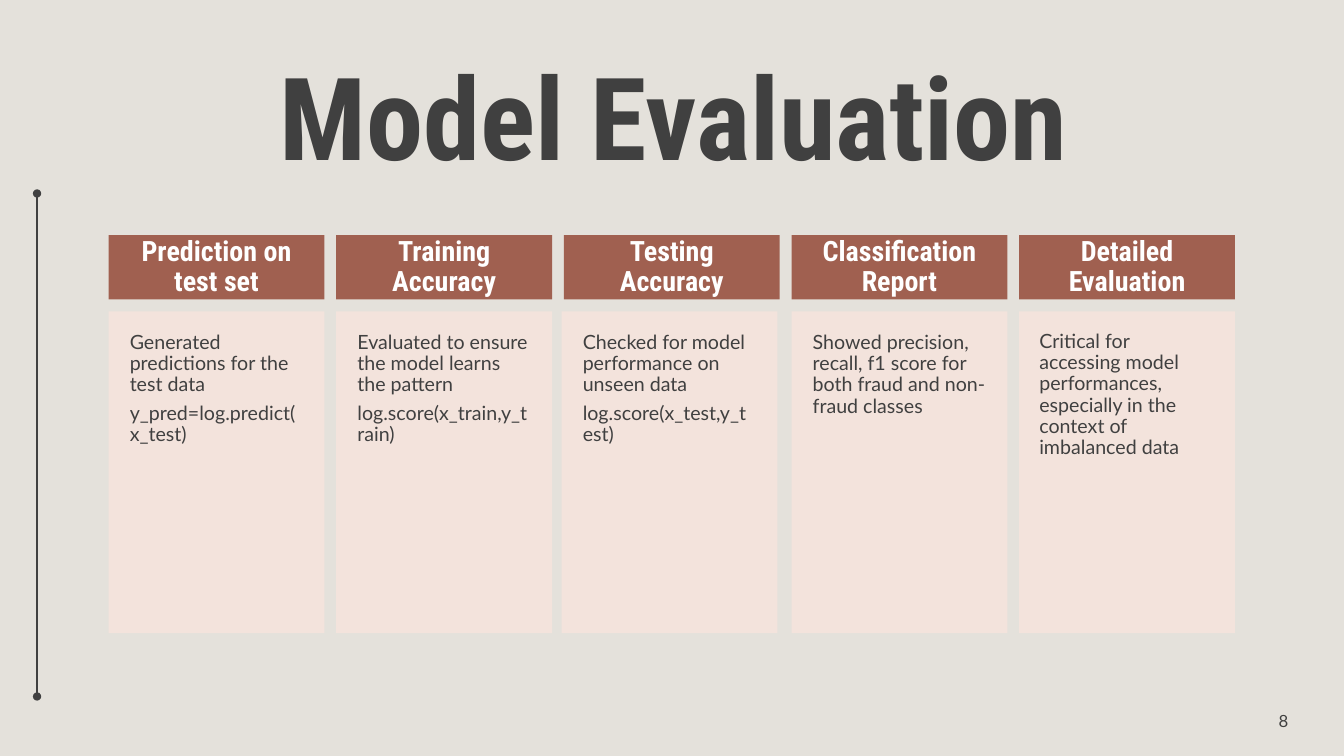
from dataclasses import dataclass

from lxml import etree
from pptx import Presentation
from pptx.dml.color import RGBColor
from pptx.enum.shapes import MSO_CONNECTOR, MSO_SHAPE
from pptx.enum.text import MSO_ANCHOR, MSO_AUTO_SIZE, PP_ALIGN
from pptx.oxml.ns import qn
from pptx.shapes.autoshape import Shape
from pptx.slide import Slide
from pptx.text.text import TextFrame
from pptx.util import Pt

RECTANGLE = MSO_SHAPE.RECTANGLE
STRAIGHT = MSO_CONNECTOR.STRAIGHT
TOP, MIDDLE = MSO_ANCHOR.TOP, MSO_ANCHOR.MIDDLE
LEFT, CENTER, RIGHT = PP_ALIGN.LEFT, PP_ALIGN.CENTER, PP_ALIGN.RIGHT
NO_AUTOFIT = MSO_AUTO_SIZE.NONE

BACKDROP = RGBColor(0xE4, 0xE1, 0xDB)
CHARCOAL = RGBColor(0x40, 0x40, 0x40)
RUST = RGBColor(0xA0, 0x60, 0x50)
BLUSH = RGBColor(0xF3, 0xE3, 0xDC)
WHITE = RGBColor(0xFF, 0xFF, 0xFF)

HEADING_FONT = "Roboto Condensed"
BODY_FONT = "Lato"

FIRST_LEFT, COLUMN_PITCH, COLUMN_WIDTH = 77.6, 162.6, 154.2
HEADING_TOP, HEADING_HEIGHT = 167.9, 46
DETAIL_TOP, DETAIL_HEIGHT = 222.5, 229.7


@dataclass(frozen=True)
class TextStyle:
    font: str
    size: float
    color: RGBColor
    align: PP_ALIGN
    anchor: MSO_ANCHOR
    bold: bool = False
    line_spacing: float = 0.9
    space_after: float = 0


@dataclass(frozen=True)
class Step:
    heading: str
    details: str
    detail_shift: float = 0
    detail_inset: float = 15.1


TITLE_STYLE = TextStyle(HEADING_FONT, 82, CHARCOAL, CENTER, MIDDLE, bold=True)
HEADING_STYLE = TextStyle(HEADING_FONT, 20, WHITE, CENTER, MIDDLE, bold=True)
DETAIL_STYLE = TextStyle(BODY_FONT, 14, CHARCOAL, LEFT, TOP, space_after=4.9)
NUMBER_STYLE = TextStyle(BODY_FONT, 12, CHARCOAL, RIGHT, MIDDLE, line_spacing=1)

STEPS = [
    Step("Prediction on test set",
         "Generated predictions for the test data\ny_pred=log.predict(x_test)"),
    Step("Training Accuracy",
         "Evaluated to ensure the model learns the pattern\nlog.score(x_train,y_train)"),
    Step("Testing Accuracy",
         "Checked for model performance on unseen data\nlog.score(x_test,y_test)",
         detail_shift=-1.6),
    Step("Classification Report",
         "Showed precision, recall, f1 score for both fraud and non-fraud classes"),
    Step("Detailed Evaluation",
         "Critical for accessing model performances, especially in the context of "
         "imbalanced data",
         detail_inset=14.4),
]


def write(frame: TextFrame, text: str, style: TextStyle) -> None:
    frame.text = text
    frame.word_wrap = True
    frame.auto_size = NO_AUTOFIT
    frame.vertical_anchor = style.anchor
    for paragraph in frame.paragraphs:
        paragraph.alignment = style.align
        paragraph.line_spacing = style.line_spacing
        paragraph.space_before = Pt(0)
        paragraph.space_after = Pt(style.space_after)
        for run in paragraph.runs:
            run.font.name = style.font
            run.font.size = Pt(style.size)
            run.font.bold = style.bold
            run.font.color.rgb = style.color


def add_panel(slide: Slide, left: float, top: float, height: float, fill: RGBColor,
              inset: float, text: str, style: TextStyle) -> Shape:
    panel = slide.shapes.add_shape(
        RECTANGLE, Pt(left), Pt(top), Pt(COLUMN_WIDTH), Pt(height))
    panel.shadow.inherit = False
    panel.fill.solid()
    panel.fill.fore_color.rgb = fill
    panel.line.fill.background()
    frame = panel.text_frame
    frame.margin_left = frame.margin_right = Pt(inset)
    frame.margin_top = frame.margin_bottom = Pt(inset)
    write(frame, text, style)
    return panel


def add_step(slide: Slide, index: int, step: Step) -> None:
    left = FIRST_LEFT + index * COLUMN_PITCH
    add_panel(slide, left, HEADING_TOP, HEADING_HEIGHT, RUST, 12.2,
              step.heading, HEADING_STYLE)
    add_panel(slide, left + step.detail_shift, DETAIL_TOP, DETAIL_HEIGHT, BLUSH,
              step.detail_inset, step.details, DETAIL_STYLE)


def add_side_rule(slide: Slide) -> None:
    """Draw the vertical line with a dot at each end."""
    rule = slide.shapes.add_connector(STRAIGHT, Pt(26.5), Pt(138.2), Pt(26.5), Pt(497.5))
    rule.line.color.rgb = CHARCOAL
    rule.line.width = Pt(1)
    outline = rule.line._get_or_add_ln()
    for end in ("a:headEnd", "a:tailEnd"):
        etree.SubElement(outline, qn(end), type="oval")
    etree.SubElement(rule._element.spPr, qn("a:effectLst"))


def add_title(slide: Slide) -> None:
    title = slide.shapes.title
    title.left, title.top = Pt(50.4), Pt(36)
    title.width, title.height = Pt(861.1), Pt(104.4)
    write(title.text_frame, "Model Evaluation", TITLE_STYLE)


def add_page_number(slide: Slide) -> None:
    page_number = slide.shapes.add_textbox(Pt(895.7), Pt(504), Pt(31.7), Pt(22.3))
    write(page_number.text_frame, "8", NUMBER_STYLE)


def main() -> None:
    deck = Presentation()
    deck.slide_width, deck.slide_height = Pt(960), Pt(540)
    slide = deck.slides.add_slide(deck.slide_layouts.get_by_name("Title Only"))
    slide.background.fill.solid()
    slide.background.fill.fore_color.rgb = BACKDROP

    add_side_rule(slide)
    add_title(slide)
    add_page_number(slide)
    for index, step in enumerate(STEPS):
        add_step(slide, index, step)
    deck.save("out.pptx")


if __name__ == "__main__":
    main()
